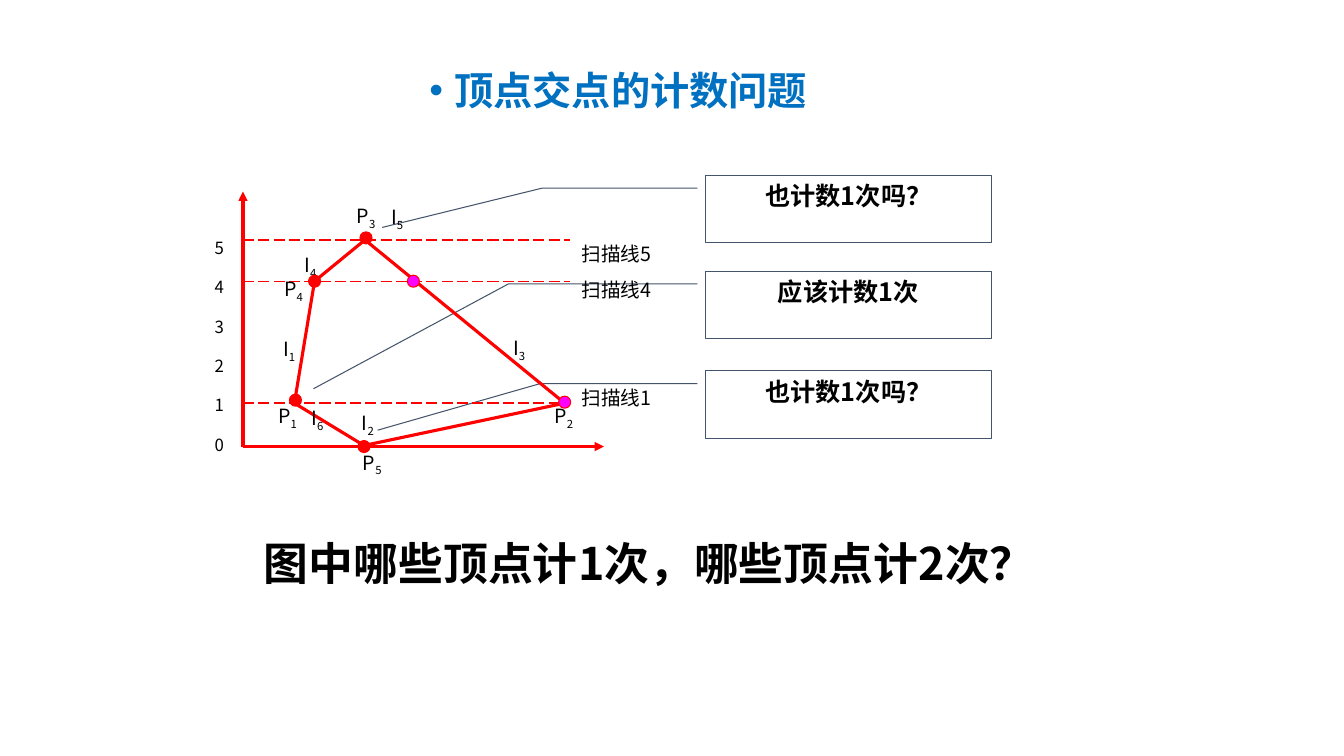
from lxml import etree
from pptx import Presentation
from pptx.dml.color import RGBColor
from pptx.enum import dml, shapes, text
from pptx.oxml import ns
from pptx.util import Inches, Pt

FONT = "Noto Sans CJK SC"
COLORS = {"title": "0070C0", "ink": "000000", "callout": "44546A",
          "edge": "FF0000", "crossing": "FF00FF"}
ALIGN = text.PP_ALIGN


def rgb(name):
    return RGBColor.from_string(COLORS[name])


def add_run(p, words, size, color="ink", bold=False):
    r = p.add_run()
    r.text = words
    r.font.size, r.font.bold, r.font.name = Pt(size), bold, FONT
    r.font.color.rgb = rgb(color)
    etree.SubElement(r._r.get_or_add_rPr(), ns.qn("a:ea"), typeface=FONT)
    return r


def add_box(s, x, y, w, h, wrap=True):
    tf = s.shapes.add_textbox(Inches(x), Inches(y), Inches(w), Inches(h)).text_frame
    tf.word_wrap = wrap
    return tf


def add_lines(tf, lines, size, spacing):
    """One justified paragraph per (words, space before)."""
    for i, (words, before) in enumerate(lines):
        p = tf.paragraphs[0] if i == 0 else tf.add_paragraph()
        p.alignment, p.line_spacing = ALIGN.JUSTIFY, spacing
        if before:
            p.space_before = Pt(before)
        add_run(p, words, size)


def add_line(s, start, end, width=2.25, dashed=False, arrow=False):
    c = s.shapes.add_connector(shapes.MSO_CONNECTOR.STRAIGHT,
                               *(Inches(v) for v in (*start, *end)))
    c.line.color.rgb, c.line.width = rgb("edge"), Pt(width)
    if dashed:
        c.line.dash_style = dml.MSO_LINE.LONG_DASH
    if arrow:
        etree.SubElement(c.line._get_or_add_ln(), ns.qn("a:tailEnd"), type="triangle")
    etree.SubElement(c._element.spPr, ns.qn("a:effectLst"))


def add_title(s, x, y, w, h):
    p = add_box(s, x, y, w, h).paragraphs[0]
    p.line_spacing = 0.9
    pPr = p._p.get_or_add_pPr()
    pPr.set("marL", str(Inches(0.25)))
    pPr.set("indent", str(-Inches(0.25)))
    etree.SubElement(pPr, ns.qn("a:buFont"), typeface="Arial")
    etree.SubElement(pPr, ns.qn("a:buChar"), char="•")
    add_run(p, "顶点交点的计数问题", 28, "title", True)


def add_callout(s, x, y, w, h, words, bend, tip):
    """Boxed question; bend is an x fraction, tip a (y, x) fraction."""
    sp = s.shapes.add_shape(shapes.MSO_SHAPE.LINE_CALLOUT_2,
                            Inches(x), Inches(y), Inches(w), Inches(h))
    for i, value in enumerate((0.188, -0.029, 0.188, bend, *tip)):
        sp.adjustments[i] = value
    sp.shadow.inherit = False
    sp.fill.background()
    sp.line.color.rgb, sp.line.width = rgb("callout"), Pt(0.75)
    tf = sp.text_frame
    tf.word_wrap, tf.vertical_anchor = True, text.MSO_ANCHOR.TOP
    p = tf.paragraphs[0]
    p.alignment = ALIGN.CENTER
    add_run(p, words, 18, bold=True)


def add_graph(s, x, y):
    """Polygon with scan lines; x, y is the origin of the axes."""
    def at(dx, dy):
        return x + dx, y + dy

    # Axes and their numbers
    add_line(s, at(0, 0), at(0, -2.53), arrow=True)
    add_line(s, at(0, 0), at(3.58, 0), arrow=True)
    add_lines(add_box(s, *at(-0.38, -2.31), 0.49, 2.45),
              [(str(n), 0) for n in range(5, -1, -1)], 12, 1.95)

    # Scan lines and their names
    for dy in (-0.43, -1.64, -2.05):
        add_line(s, at(0, dy), at(3.24, dy), 1, dashed=True)
    add_lines(add_box(s, *at(3.26, -2.2), 0.95, 2.08),
              [("扫描线5", 0), ("扫描线4", 0), ("扫描线1", 52)], 14, 1.52)

    # Polygon edges
    corners = [(1.21, -2.05), (0.71, -1.64), (0.51, -0.43), (1.2, -0.01), (3.19, -0.43)]
    for start, end in zip(corners, corners[1:] + corners[:1]):
        add_line(s, at(*start), at(*end))

    # Vertex and edge labels
    labels = {"P1": (0.25, -0.47), "P2": (2.99, -0.47), "P3": (1.03, -2.46),
              "P4": (0.31, -1.73), "P5": (1.09, -0.01),
              "I1": (0.3, -1.14), "I2": (1.08, -0.4), "I3": (2.58, -1.15),
              "I4": (0.51, -1.97), "I5": (1.37, -2.45), "I6": (0.58, -0.45)}
    for (letter, number), place in labels.items():
        p = add_box(s, *at(*place), 0.45, 0.44).paragraphs[0]
        p.alignment = ALIGN.JUSTIFY
        add_run(p, letter, 14)
        add_run(p, number, 14).font._element.set("baseline", "-25000")

    # Intersection dots
    size = 0.12
    dots = [(1.22, -2.07, "edge"), (0.71, -1.64, "edge"), (1.2, 0, "edge"),
            (0.52, -0.46, "edge"), (3.19, -0.44, "crossing"), (1.69, -1.64, "crossing")]
    for dx, dy, color in dots:
        left, top = at(dx - size / 2, dy - size / 2)
        sp = s.shapes.add_shape(shapes.MSO_SHAPE.FLOWCHART_CONNECTOR,
                                Inches(left), Inches(top), Inches(size), Inches(size))
        sp.shadow.inherit = False
        sp.fill.solid()
        sp.fill.fore_color.rgb = rgb(color)
        sp.line.color.rgb, sp.line.width = rgb("edge"), Pt(0.75)


def add_question(s, x, y, w, h):
    p = add_box(s, x, y, w, h, wrap=False).paragraphs[0]
    add_run(p, "图中哪些顶点计1次，哪些顶点计2次？", 32, bold=True)


def main():
    prs = Presentation()
    prs.slide_width, prs.slide_height = Inches(13.33), Inches(7.5)
    s = prs.slides.add_slide(prs.slide_layouts[6])

    add_title(s, 4.16, 0.66, 4.83, 0.8)
    for y, words, bend, tip in [(1.74, "也计数1次吗？", -0.572, (0.771, -1.134)),
                                (2.69, "应该计数1次", -0.691, (1.742, -1.375)),
                                (3.68, "也计数1次吗？", -0.58, (0.878, -1.15))]:
        add_callout(s, 7, y, 2.83, 0.67, words, bend, tip)
    add_graph(s, 2.41, 4.43)
    add_question(s, 2.52, 5.27, 7.86, 0.64)
    prs.save("out.pptx")


if __name__ == "__main__":
    main()
